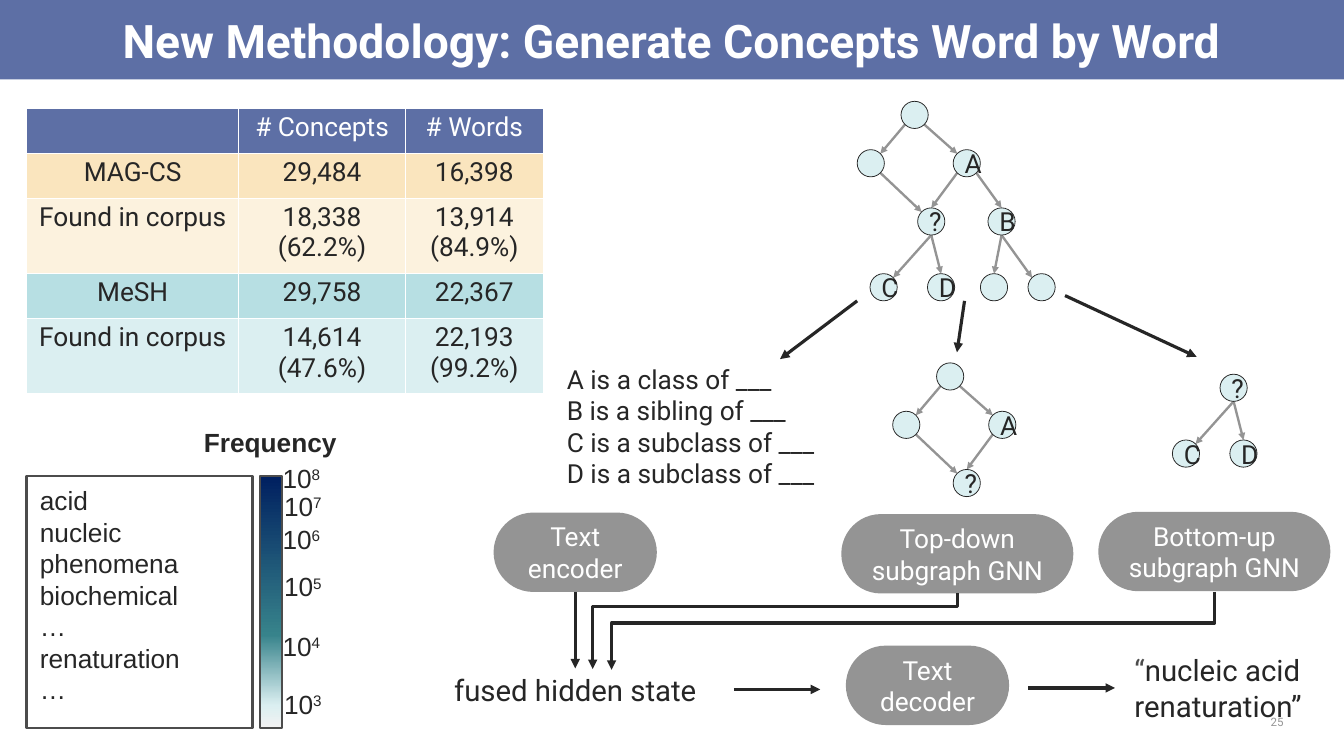
from dataclasses import dataclass

from lxml.etree import SubElement
from pptx import Presentation
from pptx.dml.color import RGBColor
from pptx.enum.shapes import MSO_CONNECTOR as Link, MSO_SHAPE as Form
from pptx.enum.text import MSO_ANCHOR as Anchor, MSO_AUTO_SIZE as Fit, PP_ALIGN as Align
from pptx.oxml.ns import qn
from pptx.util import Inches, Pt

"""Build the slide on word-by-word concept generation, on a grid of one-inch cells."""

COLUMNS, ROWS = 17.78, 10
COLORS = {
    "band": "5D6FA5", "ink": "262626", "frame": "4C4C4C", "gray": "949494",
    "number": "969696", "white": "FFFFFF", "node": "DBEFF1",
    "sand": "FAE5BE", "cream": "FCF2DE", "teal": "B7DFE3",
}
GRADIENT = {0: "F2F2F2", 9: "DBEFF1", 37: "37838B", 100: "002060"}
NODE = 0.36
SITES = {"top": (0.5, 0), "bottom": (0.5, 1), "tl": (0.15, 0.15), "tr": (0.85, 0.15),
         "bl": (0.15, 0.85), "br": (0.85, 0.85)}


@dataclass(frozen=True)
class Node:
    column: float
    row: float
    label: str = ""


@dataclass(frozen=True)
class Edge:
    start: str
    leave: str
    end: str
    enter: str


@dataclass(frozen=True)
class Tree:
    members: tuple
    right: float = 0
    down: float = 0


@dataclass(frozen=True)
class Pill:
    column: float
    row: float
    width: float
    text: str


NODES = {
    "root": Node(11.92, 1.34), "left": Node(11.34, 1.98), "A": Node(12.61, 1.98, "A"),
    "query": Node(12.14, 2.75, "?"), "B": Node(13.07, 2.75, "B"),
    "C": Node(11.51, 3.62, "C"), "D": Node(12.27, 3.62, "D"),
    "leaf": Node(12.97, 3.62), "last": Node(13.6, 3.62),
}
EDGES = [
    Edge("root", "bl", "left", "tr"), Edge("root", "br", "A", "tl"),
    Edge("left", "br", "query", "tl"), Edge("A", "bl", "query", "top"),
    Edge("A", "br", "B", "top"), Edge("query", "bottom", "C", "tr"),
    Edge("query", "bottom", "D", "top"), Edge("B", "bottom", "leaf", "top"),
    Edge("B", "bottom", "last", "tl"),
]
TREES = [
    Tree(tuple(NODES)),
    Tree(("root", "left", "A", "query"), 0.47, 3.46),
    Tree(("query", "C", "D"), 4, 2.2),
]
PILLS = [
    Pill(6.53, 6.78, 2.16, "Text\nencoder"),
    Pill(11.13, 6.8, 3.07, "Top-down\nsubgraph GNN"),
    Pill(14.53, 6.77, 3.07, "Bottom-up\nsubgraph GNN"),
    Pill(11.19, 8.54, 2.16, "Text\ndecoder"),
]
ARROWS = [
    (11.34, 3.98, 10.32, 4.75), (12.76, 3.98, 12.66, 4.66), (14.09, 3.91, 15.83, 4.72),
    (7.61, 7.83, 7.61, 8.84), (9.71, 9.12, 10.85, 9.12), (13.6, 9.1, 14.75, 9.1),
]
ELBOWS = [(12.67, 7.85, 7.84, 8.85, 0.17), (16.07, 7.83, 8.09, 8.86, 0.4)]
POWERS = {"8": (3.64, 6.07), "7": (3.66, 6.44), "6": (3.64, 6.87),
          "5": (3.66, 7.5), "4": (3.64, 8.29), "3": (3.66, 9.05)}
TABLE = [
    ("band", 0.59, ("", "# Concepts", "# Words")),
    ("sand", 0.59, ("MAG-CS", "29,484", "16,398")),
    ("cream", 1, ("Found in corpus", "18,338 (62.2%)", "13,914 (84.9%)")),
    ("teal", 0.59, ("MeSH", "29,758", "22,367")),
    ("node", 1, ("Found in corpus", "14,614\n(47.6%)", "22,193\n(99.2%)")),
]
TABLE_COLUMNS = (2.81, 2.2, 1.83)


def color(name: str) -> RGBColor:
    return RGBColor.from_string(COLORS[name])


def cells(*lengths: float) -> list:
    return [Inches(length) for length in lengths]


def write(frame, text: str, *, size=25, font="Roboto", ink="ink", bold=False,
          align=Align.LEFT, lead="", power="") -> None:
    for index, line in enumerate(text.split("\n")):
        para = frame.add_paragraph() if index else frame.paragraphs[0]
        para.alignment = align
        for piece, shade in ((lead, "frame"), (line, ink), (power, ink)):
            if not piece:
                continue
            span = para.add_run()
            span.text = piece
            span.font.size, span.font.name, span.font.bold = Pt(size), font, bold
            span.font.color.rgb = color(shade)
            if piece == power:
                span.font._element.set("baseline", "30000")


def add_text(page, column: float, row: float, width: float, height: float, text: str,
             wrap=False, **style):
    box = page.shapes.add_textbox(*cells(column, row, width, height))
    box.text_frame.word_wrap = wrap
    write(box.text_frame, text, **style)
    return box


def add_form(page, form, place: tuple, fill="", line="", weight=0.75):
    box = page.shapes.add_shape(form, *cells(*place))
    box.shadow.inherit = False
    if fill:
        box.fill.solid()
        box.fill.fore_color.rgb = color(fill)
    else:
        box.fill.background()
    if line:
        box.line.color.rgb = color(line)
        box.line.width = Pt(weight)
    else:
        box.line.fill.background()
    box.text_frame.vertical_anchor = Anchor.MIDDLE
    return box


def add_arrow(page, ends: tuple, ink="ink", weight=3.0, kind=Link.STRAIGHT):
    arrow = page.shapes.add_connector(kind, *cells(*ends))
    arrow.line.color.rgb = color(ink)
    arrow.line.width = Pt(weight)
    SubElement(arrow.line._get_or_add_ln(), qn("a:tailEnd"), type="triangle")
    SubElement(arrow._element.spPr, qn("a:effectLst"))
    return arrow


def add_elbow(page, x1: float, y1: float, x2: float, y2: float, bend: float) -> None:
    middle, center, drop, span = (x1 + x2) / 2, (y1 + y2) / 2, y2 - y1, x1 - x2
    left, top = middle - drop / 2, center - span / 2
    arrow = add_arrow(page, (left, top, left + drop, top + span), kind=Link.ELBOW)
    properties = arrow._element.spPr
    properties.find(qn("a:xfrm")).set("rot", str(90 * 60000))
    guides = properties.find(qn("a:prstGeom")).get_or_add_avLst()
    SubElement(guides, qn("a:gd"), name="adj1", fmla=f"val {round(bend * 100000)}")


def add_tree(page, tree: Tree) -> None:
    def site(name: str, side: str) -> tuple:
        node, (across, below) = NODES[name], SITES[side]
        return (node.column + tree.right + across * NODE, node.row + tree.down + below * NODE)

    for edge in EDGES:
        if edge.start in tree.members and edge.end in tree.members:
            ends = site(edge.start, edge.leave) + site(edge.end, edge.enter)
            add_arrow(page, ends, "gray", 2.25)
    for name in tree.members:
        node = NODES[name]
        place = (node.column + tree.right, node.row + tree.down, NODE, NODE)
        circle = add_form(page, Form.OVAL, place, "node", "ink")
        if node.label:
            write(circle.text_frame, node.label, align=Align.CENTER)


def add_counts(page) -> None:
    place = cells(0.35, 1.44, sum(TABLE_COLUMNS), sum(row[1] for row in TABLE))
    table = page.shapes.add_table(len(TABLE), len(TABLE_COLUMNS), *place).table
    for column, width in zip(table.columns, TABLE_COLUMNS):
        column.width = Inches(width)
    for index, (fill, height, texts) in enumerate(TABLE):
        table.rows[index].height = Inches(height)
        for cell, text in zip(table.rows[index].cells, texts):
            cell.fill.solid()
            cell.fill.fore_color.rgb = color(fill)
            write(cell.text_frame, text, align=Align.CENTER, ink="ink" if index else "white")


def add_frequency(page) -> None:
    add_form(page, Form.RECTANGLE, (0.35, 6.3, 2.99, 3.33), line="frame", weight=2)
    bar = add_form(page, Form.RECTANGLE, (1.92, 7.82, 3.33, 0.29), line="frame", weight=2)
    bar.rotation = 270
    bar.fill.gradient()
    bar.fill.gradient_angle = 0
    stops = bar._element.spPr.find(qn("a:gradFill")).find(qn("a:gsLst"))
    stops.clear()
    for share, shade in GRADIENT.items():
        stop = SubElement(stops, qn("a:gs"), pos=str(share * 1000))
        SubElement(stop, qn("a:srgbClr"), val=shade)
    add_text(page, 2.6, 5.59, 1.97, 0.52, "Frequency", font="Arial", bold=True)
    for power, (column, row) in POWERS.items():
        add_text(page, column, row, 0.72, 0.52, "10", font="Arial", power=power)
    words = "acid\nnucleic\nphenomena\nbiochemical\n…\nrenaturation\n…"
    add_text(page, 0.43, 6.36, 2.07, 3.05, words, font="Arial")


def add_title(page, text: str) -> None:
    title = page.shapes.title
    title.left, title.top, title.width, title.height = cells(-0.02, 0, COLUMNS + 0.04, 1.05)
    title.fill.solid()
    title.fill.fore_color.rgb = color("band")
    title.text_frame.auto_size = Fit.NONE
    title.text_frame.vertical_anchor = Anchor.MIDDLE
    write(title.text_frame, text, size=44, ink="white", bold=True, align=Align.CENTER)


def main() -> None:
    deck = Presentation()
    deck.slide_width, deck.slide_height = cells(COLUMNS, ROWS)
    page = deck.slides.add_slide(deck.slide_layouts[5])
    add_title(page, "New Methodology: Generate Concepts Word by Word")
    add_counts(page)
    add_frequency(page)
    for tree in TREES:
        add_tree(page, tree)
    prompts = ("A is a class of ___\nB is a sibling of ___\n"
               "C is a subclass of ___\nD is a subclass of ___")
    add_text(page, 7.4, 4.75, 3.7, 1.78, prompts)
    for pill in PILLS:
        box = add_form(page, Form.ROUNDED_RECTANGLE, (pill.column, pill.row, pill.width, 1.05), "gray")
        box.adjustments[0] = 0.5
        write(box.text_frame, pill.text, ink="white", align=Align.CENTER)
    for ends in ARROWS:
        add_arrow(page, ends)
    for elbow in ELBOWS:
        add_elbow(page, *elbow)
    add_text(page, 5.52, 8.84, 4.18, 0.57, "fused hidden state", True, size=28, align=Align.CENTER)
    add_text(page, 14.91, 8.58, 2.64, 1.04, "nucleic acid renaturation”", True, size=28, lead="“")
    number = add_text(page, 16.53, 9.42, 0.61, 0.26, "25", True, size=11, ink="number", align=Align.RIGHT)
    frame = number.text_frame
    frame.vertical_anchor = Anchor.MIDDLE
    frame.margin_left = frame.margin_right = Inches(0.16)
    frame.margin_top = frame.margin_bottom = Inches(0.08)
    deck.save("out.pptx")


if __name__ == "__main__":
    main()
